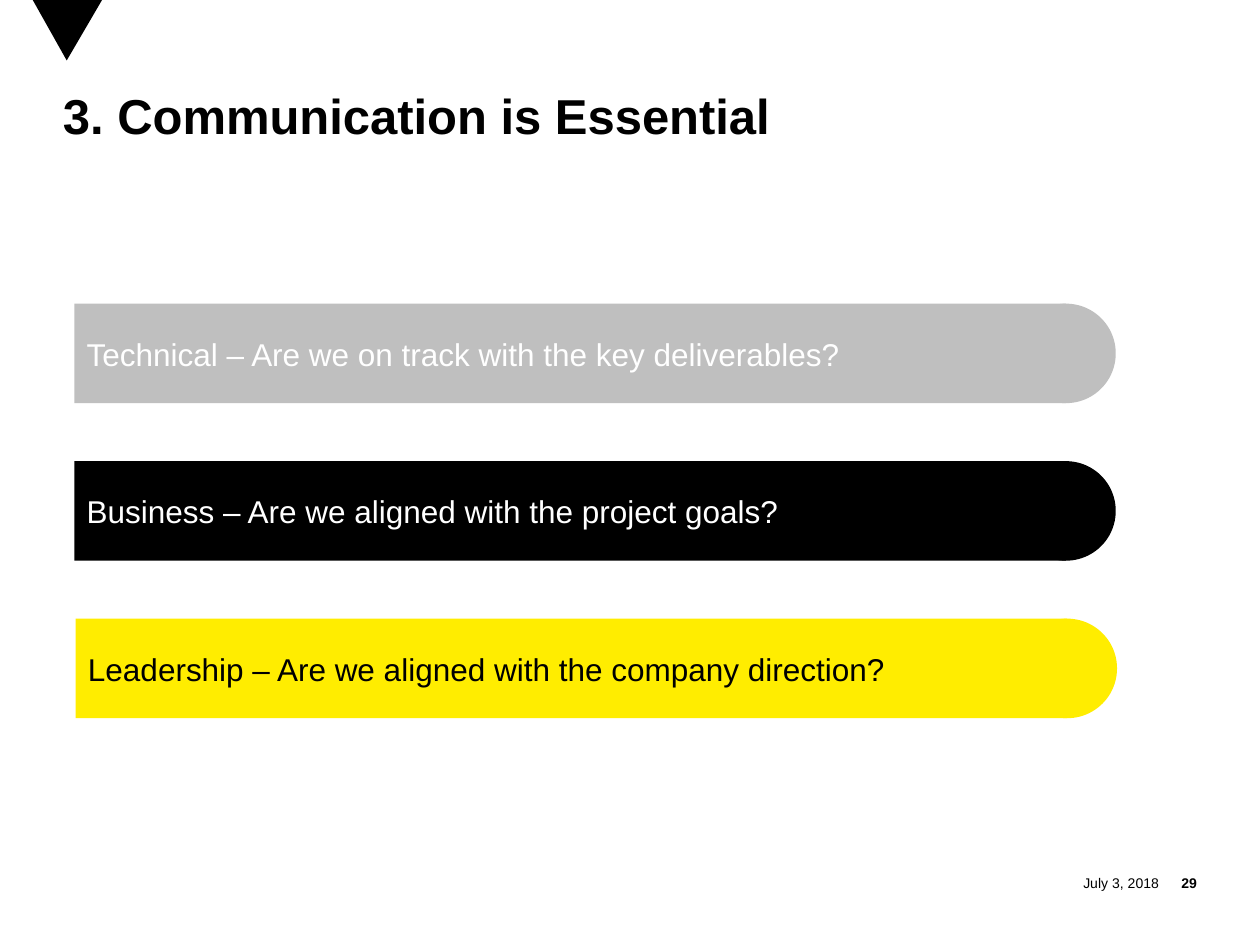
from pptx import Presentation
from pptx.dml.color import RGBColor
from pptx.enum.shapes import MSO_SHAPE as Shape
from pptx.enum.text import MSO_ANCHOR as Anchor, PP_ALIGN as Align
from pptx.util import Inches, Pt

BLACK = RGBColor(0x00, 0x00, 0x00)
WHITE = RGBColor(0xFF, 0xFF, 0xFF)
GRAY = RGBColor(0xBF, 0xBF, 0xBF)
YELLOW = RGBColor(0xFF, 0xED, 0x00)

TITLE = "3. Communication is Essential"
DATE = "July 3, 2018"
PAGE_NUMBER = "29"
BARS = [
    ("Technical – Are we on track with the key deliverables?", GRAY, WHITE, 0.59),
    ("Business – Are we aligned with the project goals?", BLACK, WHITE, 0.59),
    ("Leadership – Are we aligned with the company direction?", YELLOW, BLACK, 0.6),
]
MARKER_HUNDREDTHS = [(26, 0), (53, 48), (81, 0)]

SLIDE_WIDTH, SLIDE_HEIGHT = 10, 7.5
BAR_TOP, BAR_PITCH = 2.41, 1.25
BAR_WIDTH, BAR_HEIGHT = 7.87, 0.79
FOOTER_TOP, FOOTER_HEIGHT = 6.91, 0.2


def paint(shape, color):
    shape.shadow.inherit = False
    shape.fill.solid()
    shape.fill.fore_color.rgb = color
    shape.line.fill.background()


def write(shape, text, size, color, bold=False, align=Align.LEFT, anchor=Anchor.MIDDLE):
    frame = shape.text_frame
    frame.text = text
    frame.vertical_anchor = anchor
    paragraph = frame.paragraphs[0]
    paragraph.alignment = align
    font = paragraph.runs[0].font
    font.name, font.size, font.bold = "Arial", Pt(size), bold
    font.color.rgb = color
    return paragraph


def add_label(slide, box, text, size, wrap=True, **style):
    label = slide.shapes.add_textbox(*map(Inches, box))
    frame = label.text_frame
    frame.margin_left = frame.margin_right = frame.margin_top = frame.margin_bottom = 0
    frame.word_wrap = wrap
    return write(label, text, size, BLACK, **style)


def add_bar(slide, row, text, fill, color, left):
    top = BAR_TOP + row * BAR_PITCH
    cap_left = left + BAR_WIDTH - BAR_HEIGHT / 2
    body = slide.shapes.add_shape(
        Shape.RECTANGLE, *map(Inches, (left, top, BAR_WIDTH, BAR_HEIGHT)))
    cap = slide.shapes.add_shape(
        Shape.OVAL, *map(Inches, (cap_left, top, BAR_HEIGHT, BAR_HEIGHT)))
    paint(body, fill)
    paint(cap, fill)
    body.text_frame.word_wrap = True
    write(body, text, 18, color)


def main():
    presentation = Presentation()
    presentation.slide_width = Inches(SLIDE_WIDTH)
    presentation.slide_height = Inches(SLIDE_HEIGHT)
    slide = presentation.slides.add_slide(presentation.slide_layouts[6])

    start, *others = MARKER_HUNDREDTHS
    builder = slide.shapes.build_freeform(*start, scale=Inches(0.01))
    builder.add_line_segments(others, close=True)
    paint(builder.convert_to_shape(), BLACK)

    add_label(slide, (8.1, FOOTER_TOP, 1.1, FOOTER_HEIGHT), DATE, 8,
              wrap=False, align=Align.RIGHT)
    add_label(slide, (9.2, FOOTER_TOP, 0.3, FOOTER_HEIGHT), PAGE_NUMBER, 8,
              bold=True, align=Align.RIGHT)
    title = add_label(slide, (0.5, 0.75, 9, 1.2), TITLE, 28, bold=True, anchor=Anchor.TOP)
    title.line_spacing = 0.85

    for row, bar in enumerate(BARS):
        add_bar(slide, row, *bar)

    presentation.save("out.pptx")


if __name__ == "__main__":
    main()
